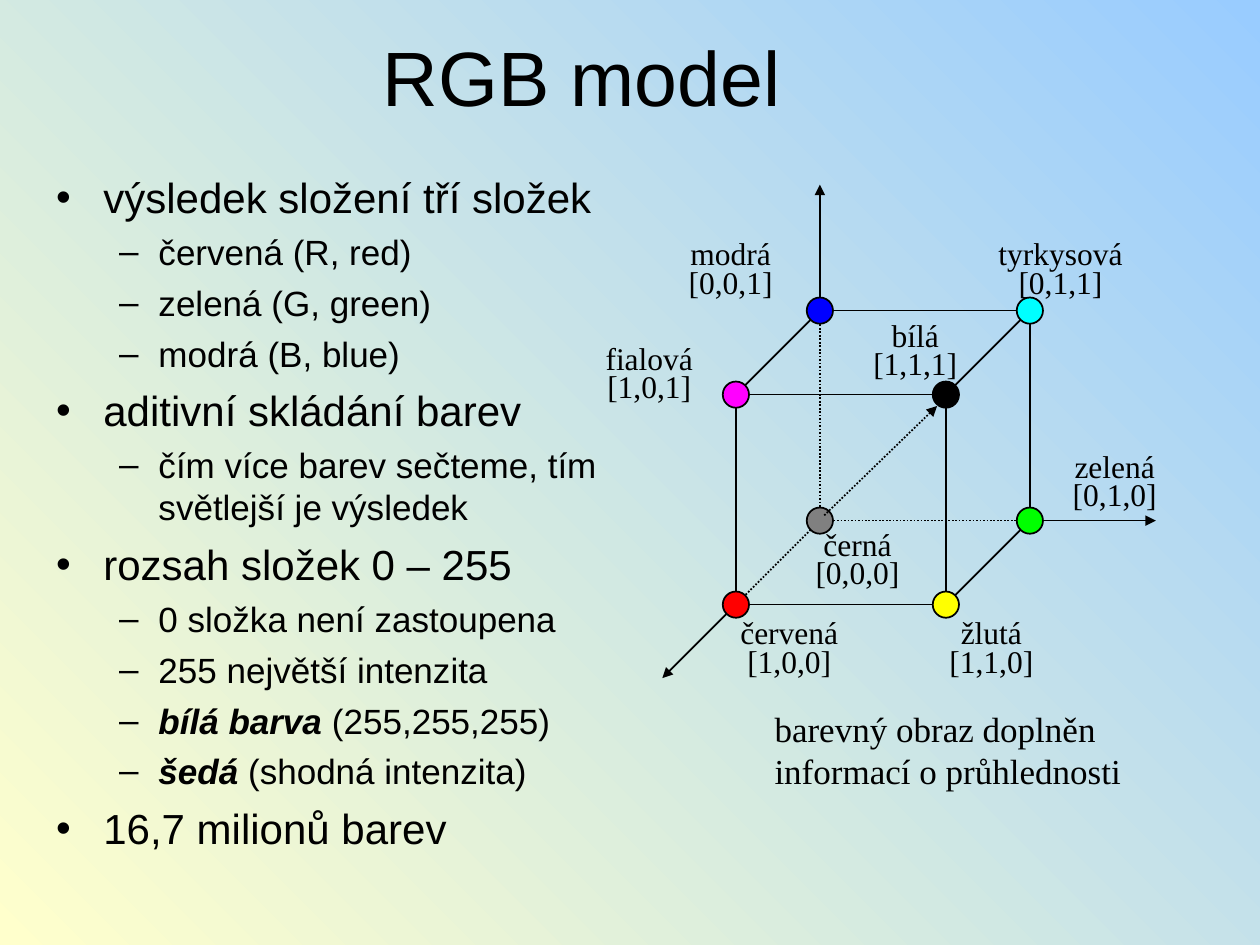
from itertools import combinations

from lxml.etree import SubElement
from pptx import Presentation
from pptx.dml.color import RGBColor
from pptx.enum.dml import MSO_LINE_DASH_STYLE as DASH
from pptx.enum.shapes import MSO_CONNECTOR, MSO_SHAPE
from pptx.enum.text import MSO_ANCHOR as ANCHOR, MSO_AUTO_SIZE as AUTO_SIZE, PP_ALIGN as ALIGN
from pptx.oxml.ns import qn
from pptx.util import Pt

COLORS = {
    "sky": "99CCFF", "cream": "FFFFCC", "black": "000000", "gray": "808080",
    "red": "FF0000", "green": "00FF00", "blue": "0000FF",
    "yellow": "FFFF00", "magenta": "FF00FF", "cyan": "00FFFF",
}


def add_text(shapes, box, text, size=18, font="Arial", align=ALIGN.LEFT, anchor=ANCHOR.TOP,
             spacing=None, margin=0, grow=False):
    """Text is a string, or a list of (level, emphasised words, plain words) for bullets."""
    shape = shapes.add_textbox(*map(Pt, box))
    frame = shape.text_frame
    frame.word_wrap = True
    frame.vertical_anchor = anchor
    frame.auto_size = AUTO_SIZE.SHAPE_TO_FIT_TEXT if grow else AUTO_SIZE.NONE
    items = [(None, "", text)] if isinstance(text, str) else text
    for index, (level, strong, plain) in enumerate(items):
        paragraph = frame.paragraphs[0] if index == 0 else frame.add_paragraph()
        paragraph.alignment = align
        properties = paragraph._p.get_or_add_pPr()
        run_size = size
        if level is None:
            properties.set("marL", str(Pt(margin)))
        else:
            left, hanging, before, bullet, run_size = BULLETS[level]
            properties.set("marL", str(Pt(left)))
            properties.set("indent", str(-Pt(hanging)))
            SubElement(properties, qn("a:buFont"), typeface="Arial")
            SubElement(properties, qn("a:buChar"), char=bullet)
            paragraph.level = level
            if index:
                paragraph.space_before = Pt(before)
        if spacing:
            paragraph.line_spacing = spacing
        for words, emphasised in ((strong, True), (plain, False)):
            for number, line in enumerate(words.split("\n") if words else []):
                if number:
                    paragraph.add_line_break()
                run = paragraph.add_run()
                run.text = line
                run.font.name = font
                run.font.size = Pt(run_size)
                run.font.color.rgb = RGBColor.from_string(COLORS["black"])
                if emphasised:
                    run.font.bold = run.font.italic = True


def add_line(shapes, start, end, dotted=False, arrow=False):
    line = shapes.add_connector(MSO_CONNECTOR.STRAIGHT, *map(Pt, (*start, *end)))
    line.line.color.rgb = RGBColor.from_string(COLORS["black"])
    line.line.width = Pt(1)
    if dotted:
        line.line.dash_style = DASH.ROUND_DOT
    if arrow:
        SubElement(line.line._get_or_add_ln(), qn("a:tailEnd"), type="triangle")
    SubElement(line._element.spPr, qn("a:effectLst"))


presentation = Presentation()
presentation.slide_width, presentation.slide_height = Pt(720), Pt(540)
slide = presentation.slides.add_slide(presentation.slide_layouts[6])

# Background gradient, from top right to bottom left
background = slide.background.fill
background.gradient()
background.gradient_angle = 225
for stop, name, position in zip(background.gradient_stops, ("sky", "cream"), (0, 1)):
    stop.color.rgb = RGBColor.from_string(COLORS[name])
    stop.position = position

# Title
add_text(slide.shapes, (8.5, 9.5, 648, 67), "RGB model", size=44,
         align=ALIGN.CENTER, anchor=ANCHOR.MIDDLE)

# Bullet list: left margin, hanging indent, space before, bullet, text size
BULLETS = [(27, 27, 6, "•", 24), (58.5, 22.5, 5, "–", 20)]
add_text(slide.shapes, (25, 94.5, 346.5, 428.5), [
    (0, "", "výsledek složení tří složek"),
    (1, "", "červená (R, red)"),
    (1, "", "zelená (G, green)"),
    (1, "", "modrá (B, blue)"),
    (0, "", "aditivní skládání barev"),
    (1, "", "čím více barev sečteme, tím světlejší je výsledek"),
    (0, "", "rozsah složek 0 – 255"),
    (1, "", "0 složka není zastoupena"),
    (1, "", "255 největší intenzita"),
    (1, "bílá barva ", "(255,255,255)"),
    (1, "šedá", " (shodná intenzita)"),
    (0, "", "16,7 milionů barev"),
])

# Cube geometry: corner (r, g, b) -> point on the slide
ORIGIN_X, ORIGIN_Y, SIDE, DEPTH, NODE = 468.5, 297.5, 120, 48, 15
# (r, g, b): name, node colour, label left, label top
CORNERS = {
    (0, 0, 1): ("modrá", "blue", 372.5, 135.5),
    (1, 0, 1): ("fialová", "magenta", 326, 195),
    (1, 0, 0): ("červená", "red", 406, 352),
    (0, 0, 0): ("černá", "gray", 445, 301.5),
    (1, 1, 1): ("bílá", "black", 478, 182),
    (1, 1, 0): ("žlutá", "yellow", 521.5, 352),
    (0, 1, 0): ("zelená", "green", 592, 257),
    (0, 1, 1): ("tyrkysová", "cyan", 561, 135.5),
}
points = {(r, g, b): (ORIGIN_X + SIDE * g - DEPTH * r, ORIGIN_Y - SIDE * b + DEPTH * r)
          for r, g, b in CORNERS}
cube = slide.shapes.add_group_shape().shapes

# Axes beyond the cube
for corner, (dx, dy) in {(0, 1, 0): (72, 0), (0, 0, 1): (0, -72), (1, 0, 0): (-42, 42)}.items():
    x, y = points[corner]
    add_line(cube, (x, y), (x + dx, y + dy), arrow=True)

# Edges join corners that differ in one component; those at the origin are hidden
for first, second in combinations(CORNERS, 2):
    if sum(a != b for a, b in zip(first, second)) == 1:
        add_line(cube, points[first], points[second], dotted=(0, 0, 0) in (first, second))

# Corner nodes
for corner, (name, color, left, top) in CORNERS.items():
    x, y = points[corner]
    node = cube.add_shape(MSO_SHAPE.OVAL, Pt(x - NODE / 2), Pt(y - NODE / 2), Pt(NODE), Pt(NODE))
    node.shadow.inherit = False
    node.fill.solid()
    node.fill.fore_color.rgb = RGBColor.from_string(COLORS[color])
    node.line.color.rgb = RGBColor.from_string(COLORS["black"])
    node.line.width = Pt(1)

# Corner labels
for corner, (name, color, left, top) in CORNERS.items():
    values = ",".join(map(str, corner))
    add_text(cube, (left, top, 90, 39.5), f"{name}\n[{values}]", font="Times New Roman",
             align=ALIGN.CENTER, spacing=0.75, grow=True)

# Gray diagonal from black to white
add_line(cube, (471, 294.5), (535.5, 232), dotted=True, arrow=True)

# Remark
add_text(slide.shapes, (399.5, 400.5, 312, 55.5),
         "barevný obraz doplněn informací o průhlednosti",
         size=20, font="Times New Roman", margin=36, grow=True)

presentation.save("out.pptx")
